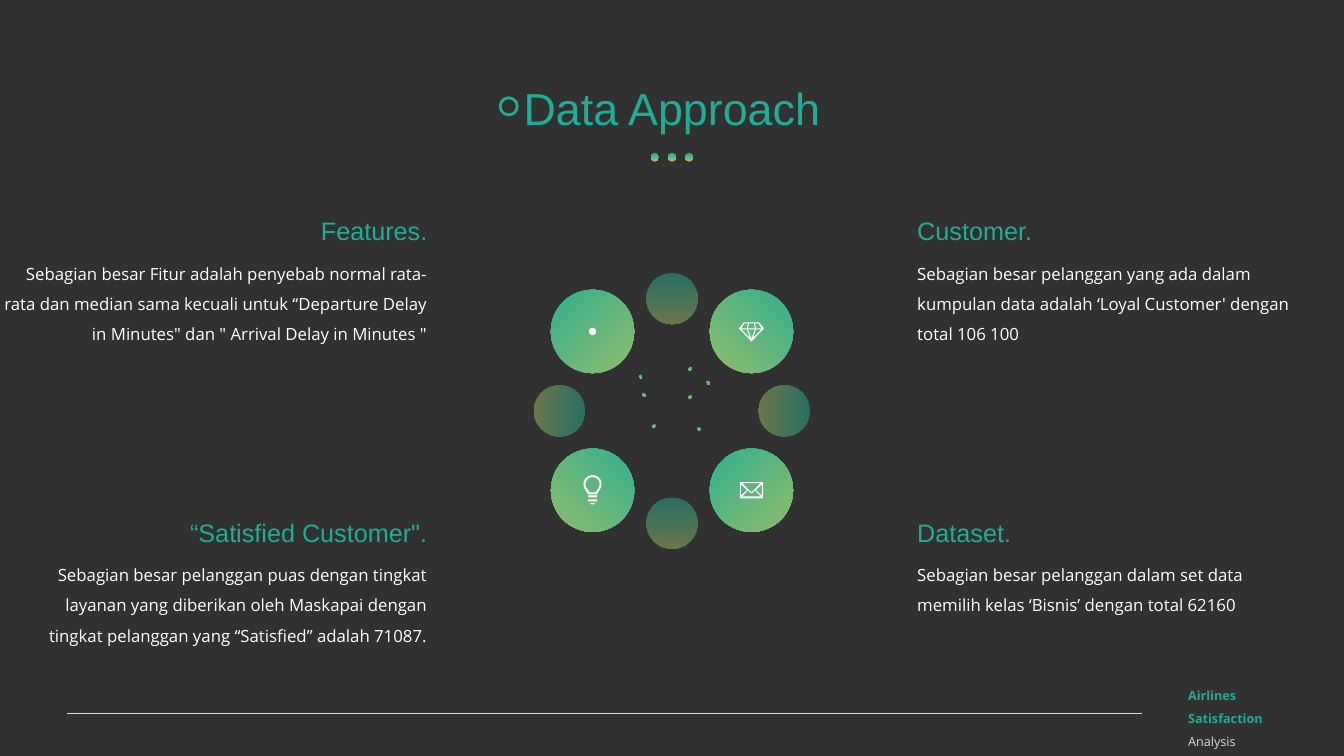
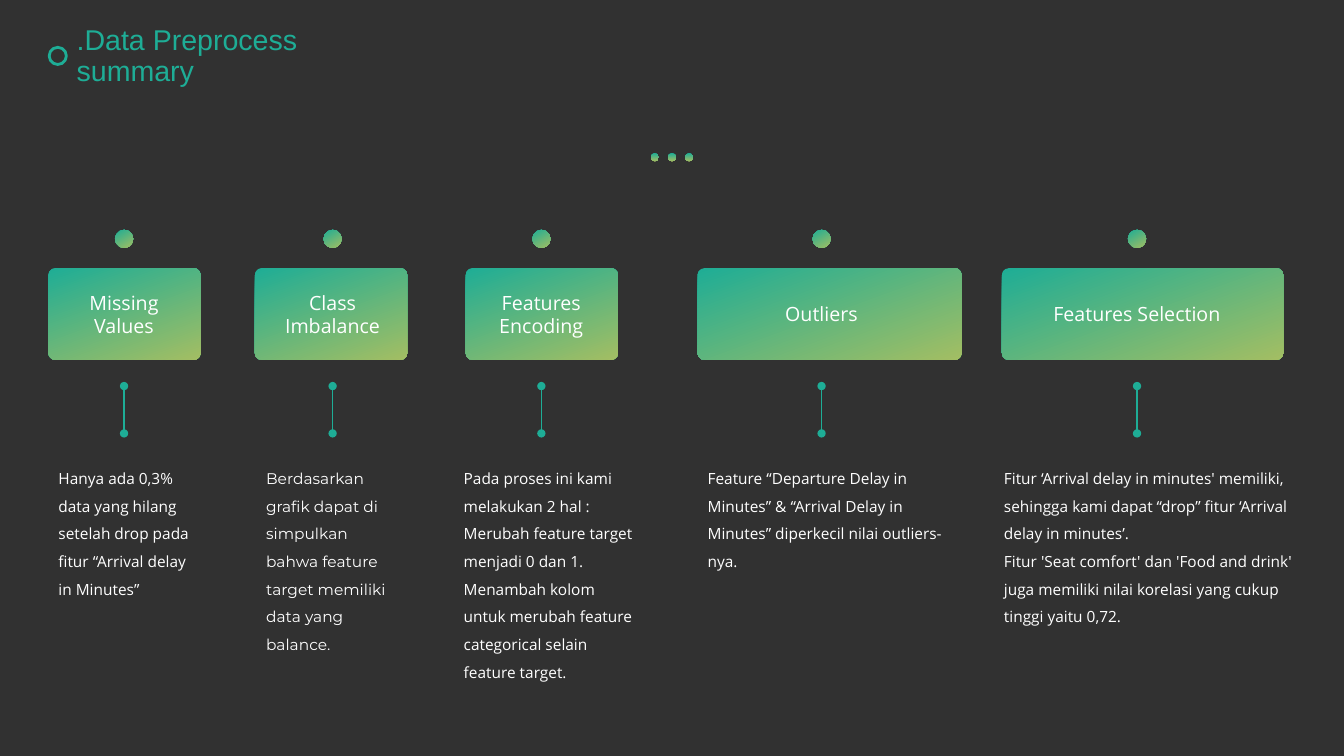
from dataclasses import dataclass
from math import cos, radians, sin

from lxml.etree import SubElement
from pptx import Presentation
from pptx.dml.color import RGBColor
from pptx.enum.shapes import MSO_CONNECTOR as Connector, MSO_SHAPE as Preset
from pptx.enum.text import MSO_ANCHOR as Anchor, MSO_AUTO_SIZE as AutoSize, PP_ALIGN as Align
from pptx.oxml.ns import qn
from pptx.util import Inches, Pt


@dataclass(frozen=True)
class Style:
    size: float
    colour: str
    font: str = "Open Sans"
    bold: bool = False
    spacing: float = 1.0


@dataclass(frozen=True)
class Theme:
    background: str = "313131"
    teal: str = "1EAD96"
    green: str = "A3BE63"
    white: str = "FFFFFF"
    grey: str = "D9D9D9"
    title: Style = Style(32, teal, "Arial")
    small_title: Style = Style(20.4, teal, "Arial", spacing=0.9)
    heading: Style = Style(18, teal, "Arial")
    body: Style = Style(12, white, spacing=1.5)
    label: Style = Style(14, white)
    step: Style = Style(11, white, spacing=1.5)
    step_alternate: Style = Style(11, white, "Montserrat", spacing=1.5)
    footer: Style = Style(9, teal, bold=True, spacing=1.5)
    footer_plain: Style = Style(9, grey)


THEME = Theme()
WIDTH, HEIGHT = Inches(13.33), Inches(7.5)
COLUMN, ROW = WIDTH / 100, HEIGHT / 100  # grid of 100 columns by 100 rows
TICK = COLUMN * 0.075  # fine unit of the small drawings

# Wheel: eight discs at equal angles, with flecks in the middle
WHEEL_X, WHEEL_Y, WHEEL_RADIUS = 50, 54.35, 8.36
FLECKS = [(-28, -16, 27), (36, -28, 53), (18, -42, 110), (-31, -34, 56),
          (18, -14, 135), (27, 18, 34), (-18, 15, 135)]

# Text beside the wheel: side, top row, width, heading, body
NOTES = [
    ("left", 28.5, 31.5, "Features.",
     "Sebagian besar Fitur adalah penyebab normal rata-rata dan median sama kecuali untuk "
     "“Departure Delay in Minutes\" dan \" Arrival Delay in Minutes \""),
    ("right", 28.5, 30.15, "Customer.",
     "Sebagian besar pelanggan yang ada dalam kumpulan data adalah ‘Loyal Customer' "
     "dengan total 106 100"),
    ("left", 68.4, 30, "“Satisfied Customer\".",
     "Sebagian besar pelanggan puas dengan tingkat layanan yang diberikan oleh Maskapai "
     "dengan tingkat pelanggan yang “Satisfied” adalah 71087."),
    ("right", 68.4, 26.9, "Dataset.",
     "Sebagian besar pelanggan dalam set data memilih kelas ‘Bisnis’ dengan total 62160"),
]

# Steps: card left and width, axis, text left and width, label, paragraphs, style
STEPS = [
    (3.6, 11.33, 9.23, 4.35, 9.83, "Missing Values",
     ["Hanya ada 0,3% data yang hilang setelah drop pada fitur “Arrival delay in Minutes”"],
     THEME.step),
    (18.97, 11.33, 24.75, 19.8, 9.83, "Class Imbalance",
     ["Berdasarkan grafik dapat di simpulkan bahwa feature target memiliki data yang balance."],
     THEME.step_alternate),
    (34.65, 11.33, 40.28, 34.5, 13.2, "Features Encoding",
     ["Pada proses ini kami melakukan 2 hal : Merubah feature target menjadi 0 dan 1.",
      "Menambah kolom untuk merubah feature categorical selain feature target."],
     THEME.step),
    (51.9, 19.65, 61.13, 52.65, 18.15, "Outliers",
     ["Feature “Departure Delay in Minutes” & “Arrival Delay in Minutes” diperkecil nilai "
      "outliers-nya."],
     THEME.step),
    (74.55, 20.93, 84.6, 74.7, 21.53, "Features Selection",
     ["Fitur ‘Arrival delay in minutes' memiliki, sehingga kami dapat “drop” fitur "
      "‘Arrival delay in minutes’.",
      "Fitur 'Seat comfort' dan 'Food and drink' juga memiliki nilai korelasi yang cukup "
      "tinggi yaitu 0,72."],
     THEME.step),
]


def place(left, top, width, height):
    """Turn columns and rows into slide lengths."""
    return round(left * COLUMN), round(top * ROW), round(width * COLUMN), round(height * ROW)


# Text
def format_run(run, style):
    run.font.size = Pt(style.size)
    run.font.name = style.font
    run.font.bold = style.bold
    run.font.color.rgb = RGBColor.from_string(style.colour)


def write(frame, paragraphs, style, align=Align.LEFT, anchor=Anchor.TOP):
    frame.text = "\n".join(paragraphs)
    frame.word_wrap = True
    frame.auto_size = AutoSize.NONE
    frame.vertical_anchor = anchor
    frame.margin_left = frame.margin_right = frame.margin_top = frame.margin_bottom = 0
    for paragraph in frame.paragraphs:
        paragraph.alignment = align
        paragraph.line_spacing = style.spacing
        for run in paragraph.runs:
            format_run(run, style)


def add_text(slide, box, paragraphs, style, align=Align.LEFT):
    frame = slide.shapes.add_textbox(*place(*box)).text_frame
    write(frame, paragraphs, style, align)
    return frame


# Shapes
def paint(shape, colour):
    shape.shadow.inherit = False
    shape.line.fill.background()
    shape.fill.solid()
    shape.fill.fore_color.rgb = RGBColor.from_string(colour)


def paint_gradient(shape, angle=90, opacity=100):
    shape.shadow.inherit = False
    shape.line.fill.background()
    shape.fill.gradient()
    shape.fill.gradient_angle = 360 - angle
    for stop, colour in zip(shape.fill.gradient_stops, (THEME.teal, THEME.green)):
        stop.color.rgb = RGBColor.from_string(colour)
    if opacity < 100:
        for colour in shape.fill._xPr.iter(qn("a:srgbClr")):
            SubElement(colour, qn("a:alpha")).set("val", str(opacity * 1000))


def add_circle(slide, x, y, diameter):
    """Circle round a grid point, its diameter in columns."""
    size = round(diameter * COLUMN)
    return slide.shapes.add_shape(Preset.OVAL, round(x * COLUMN - size / 2),
                                  round(y * ROW - size / 2), size, size)


def add_outline(slide, x, y, contours):
    """Freeform from contours in ticks round a grid point; inner contours are holes."""
    drawn = [[(round(x * COLUMN + across * TICK), round(y * ROW + down * TICK))
              for across, down in contour] for contour in contours]
    builder = slide.shapes.build_freeform(*drawn[0][0])
    for index, (start, *rest) in enumerate(drawn):
        if index:
            builder.move_to(*start)
        builder.add_line_segments(rest, close=True)
    return builder.convert_to_shape()


def add_line(slide, start, end, colour, oval_ends=False):
    line = slide.shapes.add_connector(Connector.STRAIGHT, *place(*start, *end))
    line.line.width = Pt(1)
    line.line.color.rgb = RGBColor.from_string(colour)
    if oval_ends:
        for tag in ("a:headEnd", "a:tailEnd"):
            SubElement(line.line._get_or_add_ln(), qn(tag)).set("type", "oval")
    SubElement(line._element.spPr, qn("a:effectLst"))


# Parts shared by the slides
def start_slide(presentation, title, box, style, ring, align=Align.LEFT):
    slide = presentation.slides.add_slide(presentation.slide_layouts[5])
    heading = slide.shapes.title
    heading.left, heading.top, heading.width, heading.height = place(*box)
    write(heading.text_frame, [title], style, align, Anchor.MIDDLE)
    circle = add_circle(slide, *ring, 1.28)
    circle.shadow.inherit = False
    circle.fill.background()
    circle.line.width = Pt(2)
    circle.line.color.rgb = RGBColor.from_string(THEME.teal)
    for index in (-1, 0, 1):
        paint_gradient(add_circle(slide, 50 + index * 1.28, 20.8, 0.6))
    return slide


def add_footer(slide):
    add_line(slide, (5, 94.4), (85, 94.4), THEME.grey)
    frame = add_text(slide, (88.4, 90, 8, 9), ["Airlines Satisfaction "], THEME.footer)
    run = frame.paragraphs[0].add_run()
    run.text = "Analysis"
    format_run(run, THEME.footer_plain)


# Icons, as contours in ticks
def mirror(contour):
    return [(-across, down) for across, down in contour]


def gem():
    side, shoulder = [(4.5, -2), (1.5, 6.5), (10, -2)], [(10, -3), (4.5, -3), (3.5, -8), (7, -8)]
    return [[(7.5, -9), (-7.5, -9), (-12.5, -3), (0, 10), (12.5, -3)],
            [(3.5, -2), (0, 7), (-3.5, -2)], [(-3.5, -3), (-2.5, -8), (2.5, -8), (3.5, -3)],
            side, mirror(side), shoulder, mirror(shoulder)]


def envelope():
    side = [(10.5, -6), (4.5, 0), (10.5, 5.5)]
    return [[(-11.5, -8), (-11.5, 8), (11.5, 8), (11.5, -8)], [(-9, -7), (9, -7), (0, 2)],
            [(-3.5, 0), (-1, 2.5), (1, 2.5), (3.5, 0), (9, 6), (-9, 6)], side, mirror(side)]


def bulb():
    def glass(radius, half_base, base):
        arc = [(radius * cos(radians(angle)), radius * sin(radians(angle)) - 6)
               for angle in range(150, 391, 10)]
        return arc + [(half_base, base), (-half_base, base)]

    bars = [[(-4.5, top), (4.5, top), (4.5, top + 2), (-4.5, top + 2)] for top in (5, 9)]
    return [glass(9, 4.5, 4), glass(7, 3, 2), *bars,
            [(-2.5, 12.5), (2.5, 12.5), (1.5, 14), (-1.5, 14)]]


# Wheel
def wheel_point(index):
    angle = radians(45 * index)
    return (WHEEL_X + WHEEL_RADIUS * sin(angle),
            WHEEL_Y - WHEEL_RADIUS * cos(angle) * COLUMN / ROW)


def add_wheel(slide):
    for index in range(8):
        large = index % 2 == 1
        disc = add_circle(slide, *wheel_point(index), 6.2 if large else 3.8)
        disc.rotation = 45 * index + (180 if 3 <= index <= 6 else 0)
        paint_gradient(disc, opacity=100 if large else 50)
    for across, down, tilt in FLECKS:
        c, s = cos(radians(tilt)), sin(radians(tilt))
        corners = [(across + u * c - v * s, down + u * s + v * c)
                   for u, v in ((-1.8, -1.2), (1.8, -1.2), (1.8, 1.2), (-1.8, 1.2))]
        paint_gradient(add_outline(slide, WHEEL_X, WHEEL_Y, [corners]))
    for index, icon in ((1, gem()), (3, envelope()), (5, bulb())):
        paint(add_outline(slide, *wheel_point(index), icon), THEME.white)
    paint(add_circle(slide, *wheel_point(7), 0.55), THEME.white)


def add_note(slide, side, top, width, heading, body):
    on_left = side == "left"
    left = 31.8 - width if on_left else 68.25
    align = Align.RIGHT if on_left else Align.LEFT
    add_text(slide, (left, top, width, 4), [heading], THEME.heading, align)
    add_text(slide, (left, top + 5, width, 12), [body], THEME.body, align)


def add_step(slide, left, width, axis, text_left, text_width, label, paragraphs, style):
    paint_gradient(add_circle(slide, axis, 31.6, 1.35), angle=60)
    card = slide.shapes.add_shape(Preset.ROUNDED_RECTANGLE, *place(left, 35.47, width, 12.13))
    card.adjustments[0] = 0.076
    paint_gradient(card, angle=70)
    frame = card.text_frame
    write(frame, [label], THEME.label, Align.CENTER, Anchor.MIDDLE)
    # Uneven margins centre the label on the axis
    shift = 2 * axis - 2 * left - width
    frame.margin_left = round((1.5 + max(0, shift)) * COLUMN)
    frame.margin_right = round((1.5 + max(0, -shift)) * COLUMN)
    add_line(slide, (axis, 51.07), (axis, 57.33), THEME.teal, oval_ends=True)
    add_text(slide, (text_left, 60.8, text_width, 30), paragraphs, style)


def main():
    presentation = Presentation()
    presentation.slide_width, presentation.slide_height = WIDTH, HEIGHT
    background = presentation.slide_master.background.fill
    background.solid()
    background.fore_color.rgb = RGBColor.from_string(THEME.background)

    approach = start_slide(presentation, "Data Approach", (27.5, 9.73, 45, 8.93),
                           THEME.title, (37.85, 14.07), Align.CENTER)
    add_wheel(approach)
    for note in NOTES:
        add_note(approach, *note)
    add_footer(approach)

    summary = start_slide(presentation, ".Data Preprocess summary", (5.7, 3.47, 23.2, 8),
                          THEME.small_title, (4.3, 7.4))
    for step in STEPS:
        add_step(summary, *step)
    presentation.save("out.pptx")


if __name__ == "__main__":
    main()
